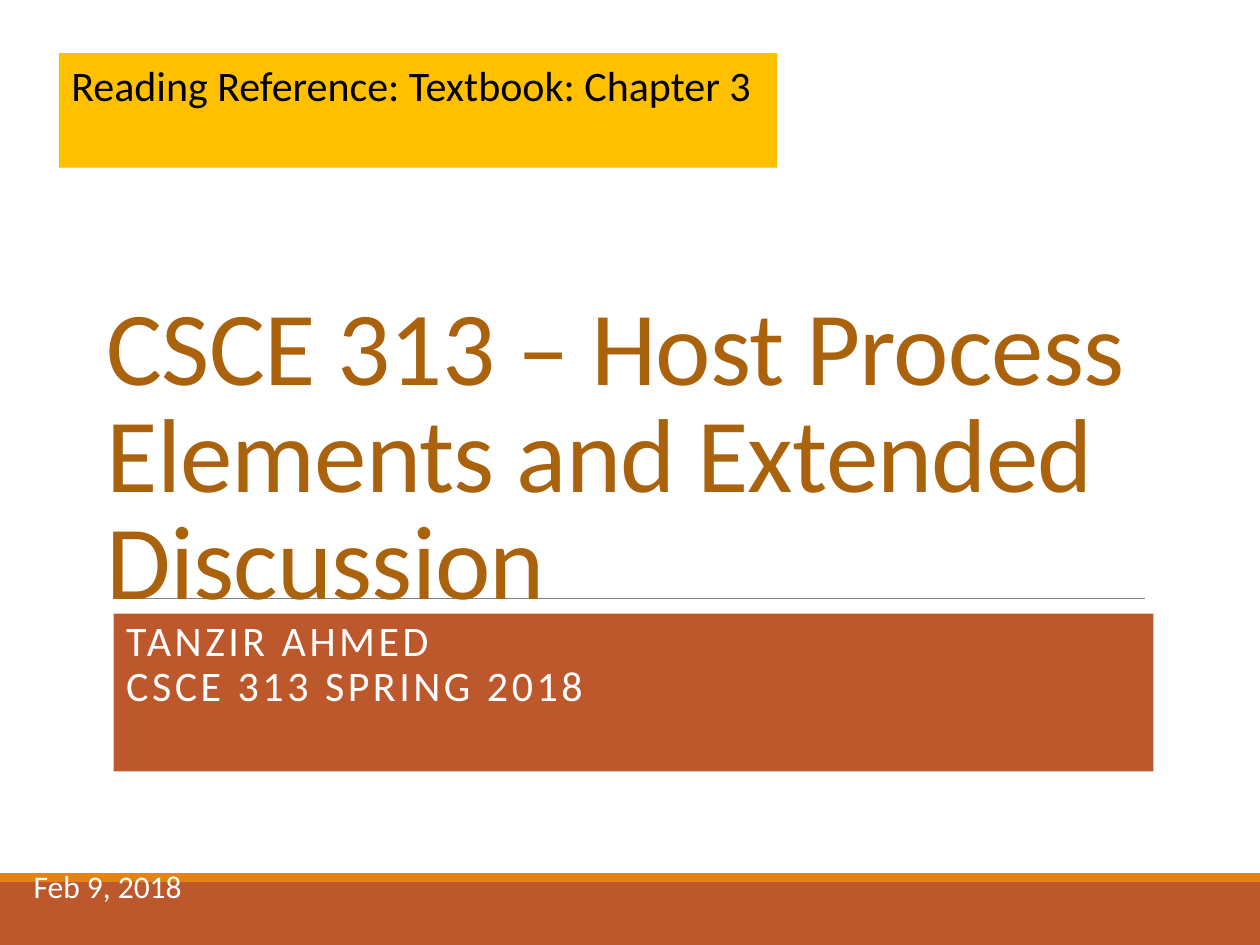
from dataclasses import dataclass

from lxml import etree
from pptx import Presentation
from pptx.dml.color import RGBColor
from pptx.enum import shapes, text
from pptx.oxml import ns
from pptx.util import Cm, Pt

RUST, ORANGE, AMBER, WHITE = "BD582C", "E48312", "FFC000", "FFFFFF"
WIDTH, HEIGHT = 25.4, 19.05


@dataclass
class Box:
    left: float
    top: float
    width: float
    height: float


@dataclass
class Style:
    size: float
    color: str
    tracking: float = 0
    line_spacing: float = 1
    before: float = 0
    after: float = 0


def rgb(value: str) -> RGBColor:
    return RGBColor.from_string(value)


def paint(sp, color: str) -> None:
    sp.fill.solid()
    sp.fill.fore_color.rgb = rgb(color)


def place(sp, box: Box) -> None:
    sp.left, sp.top = Cm(box.left), Cm(box.top)
    sp.width, sp.height = Cm(box.width), Cm(box.height)


def add_rect(s, box: Box, color: str):
    sp = s.shapes.add_shape(shapes.MSO_SHAPE.RECTANGLE, Cm(box.left),
                            Cm(box.top), Cm(box.width), Cm(box.height))
    sp.shadow.inherit = False
    sp.line.fill.background()
    paint(sp, color)
    return sp


def add_rule(s, left: float, right: float, y: float) -> None:
    line = s.shapes.add_connector(shapes.MSO_CONNECTOR.STRAIGHT,
                                  Cm(left), Cm(y), Cm(right), Cm(y))
    line.line.color.rgb = rgb("808080")
    line.line.width = Pt(0.5)
    etree.SubElement(line._element.spPr, ns.qn("a:effectLst"))


def write(sp, lines: list[str], style: Style,
          anchor=text.MSO_ANCHOR.TOP, wrap: bool = True) -> None:
    tf = sp.text_frame
    tf.word_wrap = wrap
    tf.auto_size = text.MSO_AUTO_SIZE.NONE
    tf.vertical_anchor = anchor
    p = tf.paragraphs[0]
    p.alignment = text.PP_ALIGN.LEFT
    p.line_spacing = style.line_spacing
    p.space_before, p.space_after = Pt(style.before), Pt(style.after)
    for i, words in enumerate(lines):
        if i:
            p.add_line_break()
        r = p.add_run()
        r.text = words
        r.font.name = "Calibri"
        r.font.size = Pt(style.size)
        r.font.color.rgb = rgb(style.color)
        if style.tracking:
            r.font._element.set("spc", str(round(style.tracking * 100)))


def main() -> None:
    prs = Presentation()
    prs.slide_width, prs.slide_height = Cm(WIDTH), Cm(HEIGHT)
    s = prs.slides.add_slide(prs.slide_layouts[0])
    title, subtitle = s.placeholders[0], s.placeholders[1]

    add_rect(s, Box(0, 17.78, WIDTH, 1.27), RUST)
    add_rect(s, Box(0, 17.6, WIDTH, 0.18), ORANGE)
    add_rule(s, 2.51, 23.09, 12.07)
    for sp in (title, subtitle):
        s.shapes._spTree.append(sp._element)

    place(title, Box(1.9, 5.23, 23.29, 7.42))
    write(title, ["CSCE 313 – Host Process Elements and Extended Discussion"],
          Style(60, "AB620D", tracking=-0.5, line_spacing=0.85),
          anchor=text.MSO_ANCHOR.BOTTOM)

    place(subtitle, Box(2.29, 12.37, 20.96, 3.18))
    paint(subtitle, RUST)
    write(subtitle, ["TANZIR AHMED", "CSCE 313 SPRING 2018"],
          Style(24, WHITE, tracking=2, line_spacing=0.9, before=12, after=2))

    date = s.shapes.add_textbox(Cm(0.43), Cm(17.35), Cm(3.71), Cm(1.02))
    write(date, ["Feb 9, 2018"], Style(18, WHITE), wrap=False)

    reading = add_rect(s, Box(1.19, 1.07, 14.48, 2.31), AMBER)
    write(reading, ["Reading Reference: Textbook: Chapter 3"],
          Style(24, "000000"))

    prs.save("out.pptx")


if __name__ == "__main__":
    main()
